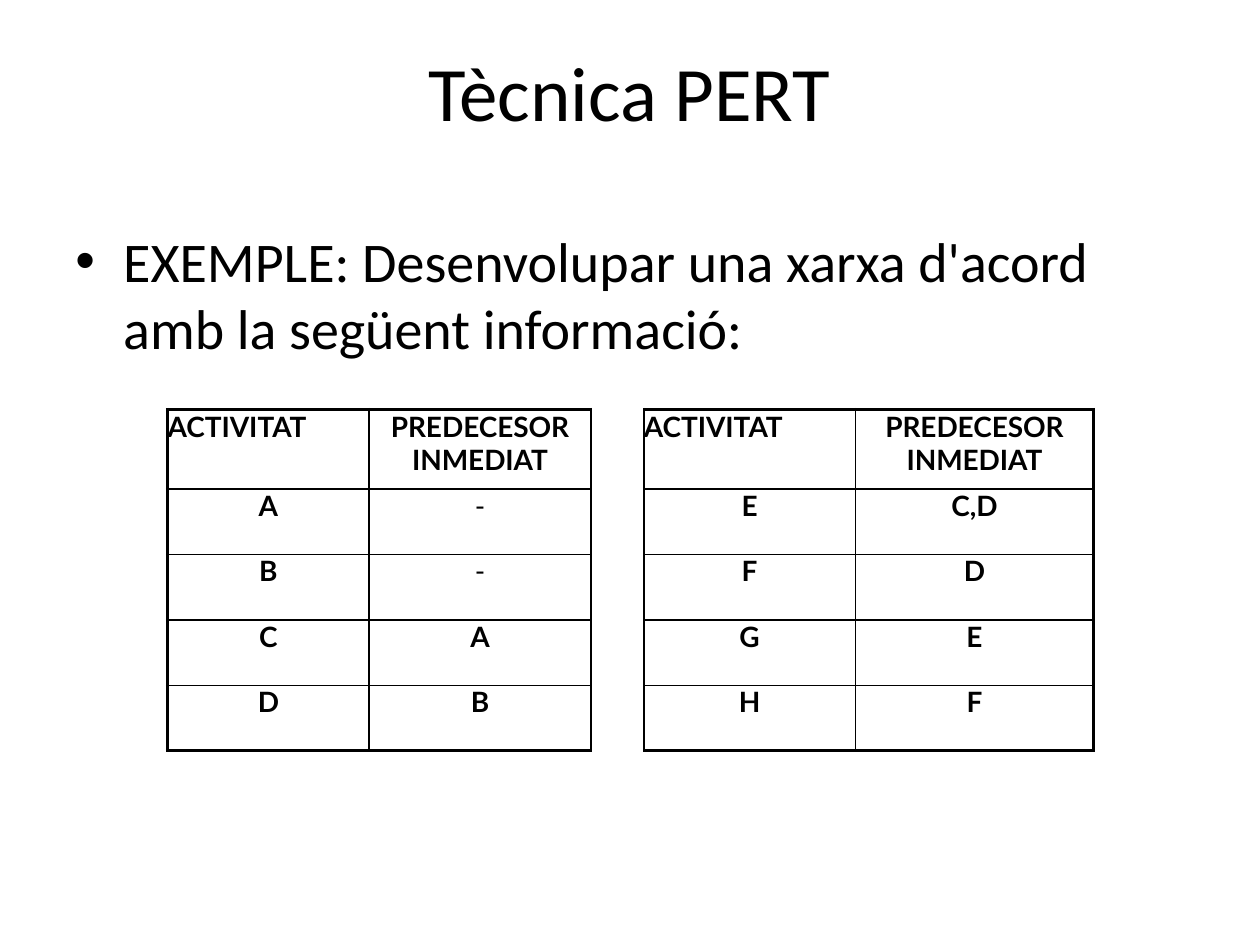
"""Build the PERT example slide with its table of activities."""
from lxml import etree
from pptx import Presentation
from pptx import util as u
from pptx.dml.color import RGBColor
from pptx.enum import text as t
from pptx.oxml.ns import qn

HUES = {"ink": "000000"}
COLS = [1.6, 1.76, 0.42, 1.68, 1.89]
TALL = [0.63, 0.52, 0.52, 0.52, 0.52]
HEAD = ["ACTIVITAT", "PREDECESOR INMEDIAT"]
LEFT = [HEAD, ["A", "-"], ["B", "-"], ["C", "A"], ["D", "B"]]
RIGHT = [HEAD, ["E", "C,D"], ["F", "D"], ["G", "E"], ["H", "F"]]
THIN, THICK = 1, 2.25


def write(frame, words, size=16, font="Calibri", bold=False,
          align=t.PP_ALIGN.CENTER, bullet=None):
    frame.word_wrap = True
    para = frame.paragraphs[0]
    para.alignment = align
    if bullet:
        props = para._p.get_or_add_pPr()
        props.set("marL", str(u.Inches(0.38)))
        props.set("indent", str(-u.Inches(0.38)))
        etree.SubElement(props, qn("a:buFont"), typeface="Arial")
        etree.SubElement(props, qn("a:buChar"), char=bullet)
    run = para.add_run()
    run.text = words
    run.font.size = u.Pt(size)
    run.font.name = font
    run.font.bold = bold
    run.font.color.rgb = RGBColor.from_string(HUES["ink"])


class Deck:
    def __init__(self):
        self.show = Presentation()
        self.show.slide_width, self.show.slide_height = u.Inches(10), u.Inches(7.5)
        self.slide = self.show.slides.add_slide(self.show.slide_layouts[5])

    def title(self, words, *box):
        shape = self.slide.shapes.title
        shape.left, shape.top, shape.width, shape.height = map(u.Inches, box)
        shape.text_frame.vertical_anchor = t.MSO_ANCHOR.TOP
        write(shape.text_frame, words, size=44)

    def body(self, words, *box):
        shape = self.slide.shapes.add_textbox(*map(u.Inches, box))
        write(shape.text_frame, words, size=32, align=t.PP_ALIGN.LEFT, bullet="•")

    def edges(self, cell, widths):
        props = cell._tc.get_or_add_tcPr()
        for spot, (side, width) in enumerate(zip("LRTB", widths)):
            line = etree.Element(qn(f"a:ln{side}"), w=str(u.Pt(width)))
            if width:
                fill = etree.SubElement(line, qn("a:solidFill"))
                etree.SubElement(fill, qn("a:srgbClr"), val=HUES["ink"])
            else:
                etree.SubElement(line, qn("a:noFill"))
            props.insert(spot, line)

    def table(self, rows, left, top):
        grid = self.slide.shapes.add_table(
            len(rows), len(COLS), u.Inches(left), u.Inches(top),
            u.Inches(sum(COLS)), u.Inches(sum(TALL))).table
        grid.first_row = grid.horz_banding = False
        for col, width in zip(grid.columns, COLS):
            col.width = u.Inches(width)
        for row, height in zip(grid.rows, TALL):
            row.height = u.Inches(height)
        last, end = len(rows) - 1, len(COLS) - 1
        for r, row in enumerate(rows):
            for c, words in enumerate(row):
                cell = grid.cell(r, c)
                cell.fill.background()
                cell.margin_left = cell.margin_right = 0
                cell.margin_top = cell.margin_bottom = 0
                above = THICK if r == 0 else THIN
                below = THICK if r == last else THIN
                if words:
                    plain = words == HEAD[0]
                    write(cell.text_frame, words, font="Lato", bold=words != "-",
                          align=t.PP_ALIGN.LEFT if plain else t.PP_ALIGN.CENTER)
                else:
                    above = below = 0
                self.edges(cell, (THICK if c == 0 else THIN,
                                  THICK if c == end else THIN, above, below))


def main():
    deck = Deck()
    deck.title("Tècnica PERT", 0.5, 0.3, 9, 1.25)
    deck.body("EXEMPLE: Desenvolupar una xarxa d'acord amb la següent informació:",
              0.5, 1.75, 9, 4.95)
    deck.table([a + [""] + b for a, b in zip(LEFT, RIGHT)], 1.33, 3.25)
    deck.show.save("out.pptx")


if __name__ == "__main__":
    main()
